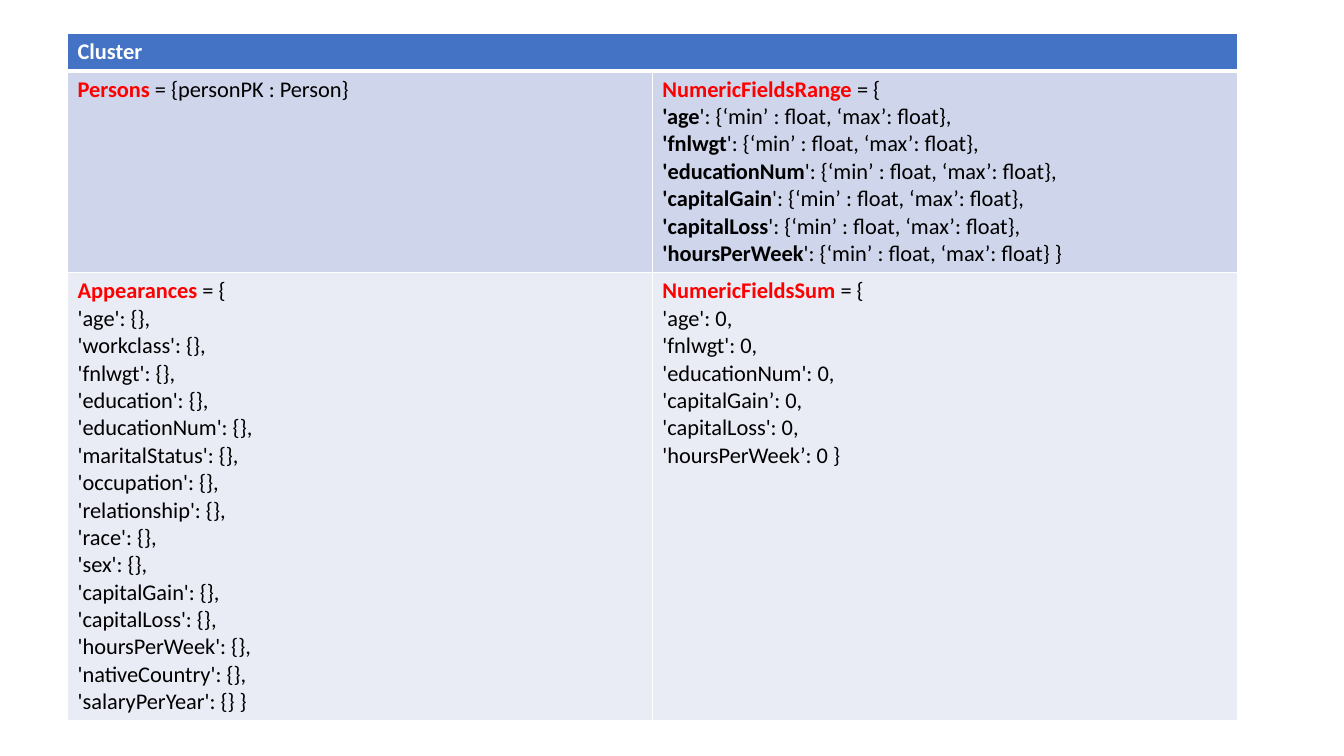
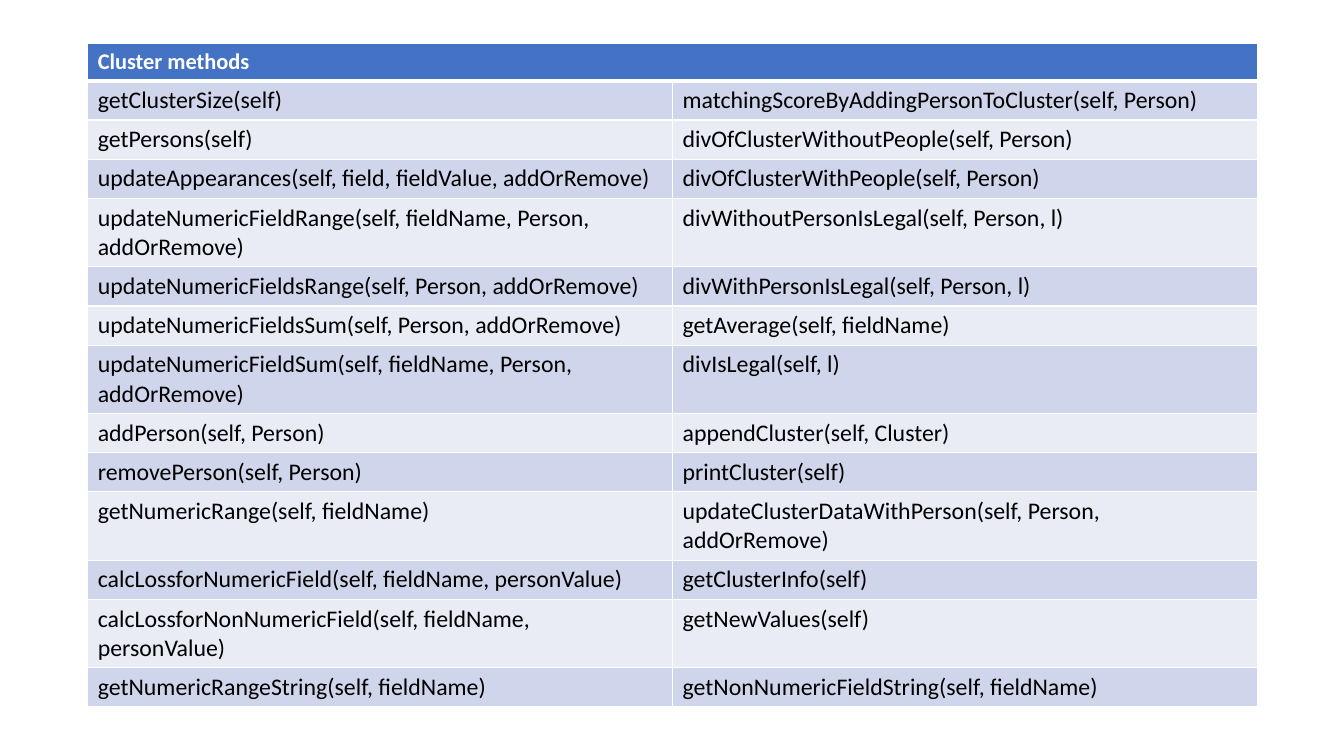
from pptx import Presentation
from pptx.dml.color import RGBColor
from pptx.oxml.ns import qn
from pptx.util import Inches, Pt
from lxml import etree

COLORS = {"header": "4472C4", "band_dark": "CFD5EA", "band_light": "E9EBF5",
          "white": "FFFFFF", "black": "000000", "accent": "FF0000"}
FONT = "Calibri"
COLUMN_W = 5.8

# Lines are strings, or (bold lead, rest, lead colour)
RANGE = "': {‘min’ : float, ‘max’: float}"
RANGE_FIELDS = ["age", "fnlwgt", "educationNum", "capitalGain", "capitalLoss", "hoursPerWeek"]
APPEARANCE_FIELDS = ["age", "workclass", "fnlwgt", "education", "educationNum",
                     "maritalStatus", "occupation", "relationship", "race", "sex",
                     "capitalGain", "capitalLoss", "hoursPerWeek", "nativeCountry",
                     "salaryPerYear"]


def closed(lines, ends):
    """Join each line with a comma, and the last one with the closing brace."""
    return [line + (" }" if i == len(lines) - 1 else ",") if ends else line
            for i, line in enumerate(lines)]


def heading(name, rest=" = {"):
    return (name, rest, "accent")


PERSONS = [heading("Persons", " = {personPK : Person}")]
RANGES = [heading("NumericFieldsRange")] + [
    ("'" + field, rest, "black")
    for field, rest in zip(RANGE_FIELDS, closed([RANGE] * len(RANGE_FIELDS), True))]
APPEARANCES = [heading("Appearances")] + closed(
    [f"'{field}': {{}}" for field in APPEARANCE_FIELDS], True)
SUMS = [heading("NumericFieldsSum"), "'age': 0,", "'fnlwgt': 0,", "'educationNum': 0,",
        "'capitalGain’: 0,", "'capitalLoss': 0,", "'hoursPerWeek’: 0 }"]

METHODS = [
    ("getClusterSize(self)", "matchingScoreByAddingPersonToCluster(self, Person)"),
    ("getPersons(self)", "divOfClusterWithoutPeople(self, Person)"),
    ("updateAppearances(self, field, fieldValue, addOrRemove)",
     "divOfClusterWithPeople(self, Person)"),
    ("updateNumericFieldRange(self, fieldName, Person, addOrRemove)",
     "divWithoutPersonIsLegal(self, Person, l)"),
    ("updateNumericFieldsRange(self, Person, addOrRemove)",
     "divWithPersonIsLegal(self, Person, l)"),
    ("updateNumericFieldsSum(self, Person, addOrRemove)", "getAverage(self, fieldName)"),
    ("updateNumericFieldSum(self, fieldName, Person, addOrRemove)", "divIsLegal(self, l)"),
    ("addPerson(self, Person)", "appendCluster(self, Cluster)"),
    ("removePerson(self, Person)", "printCluster(self)"),
    ("getNumericRange(self, fieldName)",
     "updateClusterDataWithPerson(self, Person, addOrRemove)"),
    ("calcLossforNumericField(self, fieldName, personValue)", "getClusterInfo(self)"),
    ("calcLossforNonNumericField(self, fieldName, personValue)", "getNewValues(self)"),
    ("getNumericRangeString(self, fieldName)", "getNonNumericFieldString(self, fieldName)"),
]
TWO_LINE_ROWS = {3, 6, 9, 11}


def rgb(name):
    return RGBColor.from_string(COLORS[name])


def set_borders(cell, top=1, bottom=1):
    """White borders, widths in points; they go before the cell's fill."""
    tcPr = cell._tc.get_or_add_tcPr()
    for tag, width in (("a:lnL", 1), ("a:lnR", 1), ("a:lnT", top), ("a:lnB", bottom)):
        ln = etree.SubElement(tcPr, qn(tag), w=str(Pt(width)))
        fill = etree.SubElement(ln, qn("a:solidFill"))
        etree.SubElement(fill, qn("a:srgbClr"), val=COLORS["white"])


def fill_cell(cell, lines, fill, size, color="black", bold=False):
    cell.fill.solid()
    cell.fill.fore_color.rgb = rgb(fill)
    tf = cell.text_frame
    for i, line in enumerate(lines):
        p = tf.add_paragraph() if i else tf.paragraphs[0]
        p.font.name, p.font.size, p.font.bold = FONT, Pt(size), bold
        p.font.color.rgb = rgb(color)
        if isinstance(line, str):
            p.add_run().text = line
            continue
        lead, rest, lead_color = line
        r = p.add_run()
        r.text = lead
        r.font.bold = True
        r.font.color.rgb = rgb(lead_color)
        p.add_run().text = rest


def add_class_table(slide, left, top, title, rows, heights, size):
    """Two-column banded table under one merged header."""
    table = slide.shapes.add_table(
        len(rows) + 1, 2, Inches(left), Inches(top),
        Inches(2 * COLUMN_W), Inches(sum(heights))).table
    for column in table.columns:
        column.width = Inches(COLUMN_W)
    for row, height in zip(table.rows, heights):
        row.height = Inches(height)

    # Header
    for col in range(2):
        set_borders(table.cell(0, col), bottom=3)
        fill_cell(table.cell(0, col), [] if col else [title], "header", 16, "white", True)
    table.cell(0, 0).merge(table.cell(0, 1))

    # Banded body
    for i, row in enumerate(rows, 1):
        for col, lines in enumerate(row):
            cell = table.cell(i, col)
            set_borders(cell, top=3 if i == 1 else 1)
            fill_cell(cell, lines, "band_dark" if i % 2 else "band_light", size)


def add_fields_slide(prs):
    slide = prs.slides.add_slide(prs.slide_layouts[6])
    add_class_table(slide, 0.67, 0.33, "Cluster",
                    [(PERSONS, RANGES), (APPEARANCES, SUMS)], [0.34, 1.9, 4.23], 16)


def add_methods_slide(prs):
    slide = prs.slides.add_slide(prs.slide_layouts[6])
    rows = [([left], [right]) for left, right in METHODS]
    heights = [0.35] + [0.64 if i in TWO_LINE_ROWS else 0.38 for i in range(len(rows))]
    add_class_table(slide, 0.87, 0.43, "Cluster methods", rows, heights, 17)


def main():
    prs = Presentation()
    prs.slide_width, prs.slide_height = Inches(13.33), Inches(7.5)
    add_fields_slide(prs)
    add_methods_slide(prs)
    prs.save("out.pptx")


if __name__ == "__main__":
    main()
